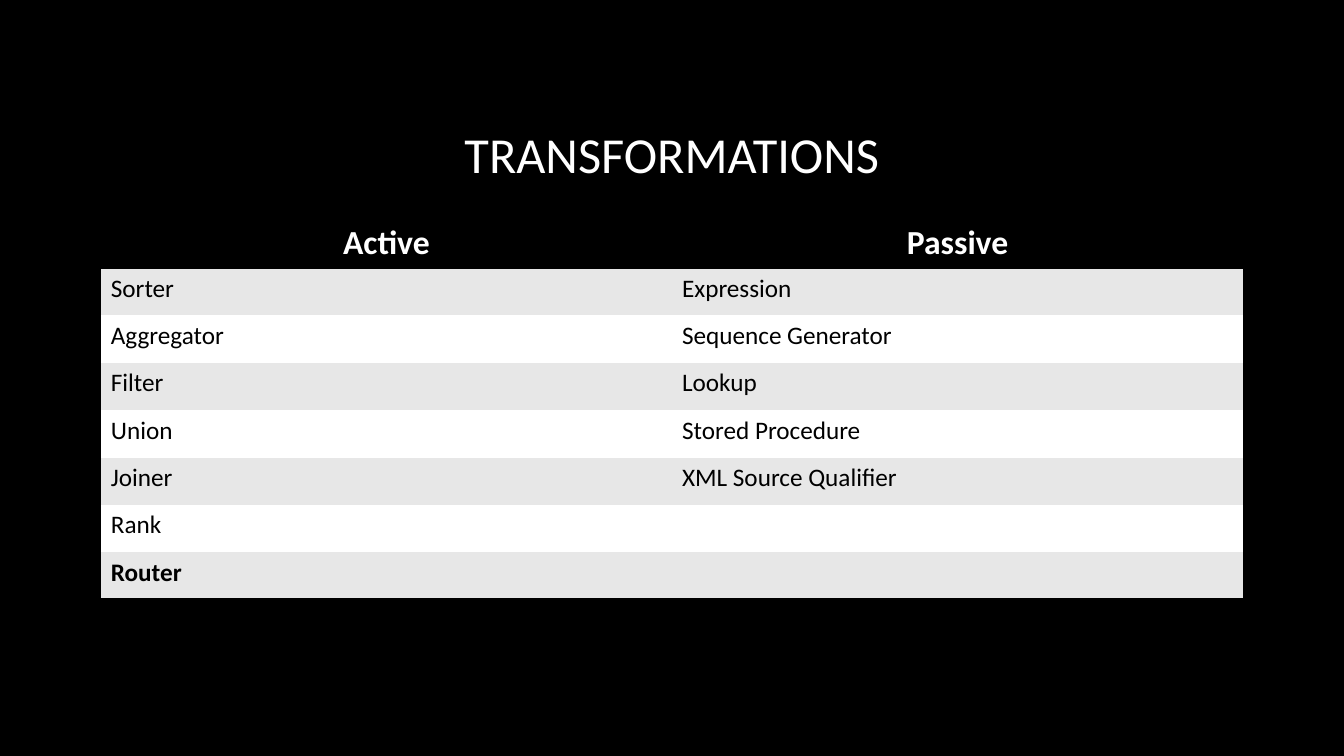
from lxml.etree import SubElement
from pptx import Presentation
from pptx.dml.color import RGBColor
from pptx.enum.text import MSO_ANCHOR, PP_ALIGN
from pptx.oxml.ns import qn
from pptx.util import Inches, Pt

TITLE = "TRANSFORMATIONS"
ROWS = [
    ("Active", "Passive"),
    ("Sorter", "Expression"),
    ("Aggregator", "Sequence Generator"),
    ("Filter", "Lookup"),
    ("Union", "Stored Procedure"),
    ("Joiner", "XML Source Qualifier"),
    ("Rank", ""),
    ("Router", ""),
]
BOLD = {"Active", "Passive", "Router"}
COLORS = {"black": "000000", "white": "FFFFFF", "band": "E7E7E7"}
FONT = "Calibri"
NO_GRID_STYLE = "{2D5ABB26-0587-4C30-8999-92F81FD0307C}"
WIDTH, HEIGHT = 13.33, 7.5
MARGIN = 1
CONTENT_W = WIDTH - 2 * MARGIN
TITLE_TOP, TITLE_H = 0.68, 1.75
TABLE_TOP, ROW_H = 2.16, 0.47


def rgb(name):
    return RGBColor.from_string(COLORS[name])


def add_text(p, text, size, color, bold=False):
    r = p.add_run()
    r.text = text
    r.font.name = FONT
    r.font.size = Pt(size)
    r.font.bold = bold
    r.font.color.rgb = rgb(color)


def add_border(cell, side):
    ln = SubElement(cell._tc.get_or_add_tcPr(), qn(f"a:ln{side}"), w=str(Pt(2)))
    fill = SubElement(ln, qn("a:solidFill"))
    SubElement(fill, qn("a:srgbClr"), val=COLORS["black"])


def add_title(slide):
    box = slide.shapes.add_textbox(
        Inches(MARGIN), Inches(TITLE_TOP), Inches(CONTENT_W), Inches(TITLE_H))
    tf = box.text_frame
    tf.word_wrap = True
    tf.vertical_anchor = MSO_ANCHOR.MIDDLE
    p = tf.paragraphs[0]
    p.alignment = PP_ALIGN.CENTER
    p.line_spacing = 0.9
    add_text(p, TITLE, 36, "white")


def add_transformations(slide):
    last = len(ROWS) - 1
    table = slide.shapes.add_table(
        len(ROWS), len(ROWS[0]), Inches(MARGIN), Inches(TABLE_TOP),
        Inches(CONTENT_W), Inches(ROW_H * len(ROWS))).table
    table._tbl.tblPr.find(qn("a:tableStyleId")).text = NO_GRID_STYLE
    for i, names in enumerate(ROWS):
        table.rows[i].height = Inches(ROW_H)
        header = i == 0
        fill = "black" if header else "band" if i % 2 else "white"
        for j, name in enumerate(names):
            cell = table.cell(i, j)
            for side in {0: "TB", last: "B"}.get(i, ""):
                add_border(cell, side)
            cell.fill.solid()
            cell.fill.fore_color.rgb = rgb(fill)
            p = cell.text_frame.paragraphs[0]
            if header:
                p.alignment = PP_ALIGN.CENTER
            if name:
                add_text(p, name, 24 if header else 18,
                         "white" if header else "black", name in BOLD)


def main():
    prs = Presentation()
    prs.slide_width, prs.slide_height = Inches(WIDTH), Inches(HEIGHT)
    slide = prs.slides.add_slide(prs.slide_layouts[6])
    slide.background.fill.solid()
    slide.background.fill.fore_color.rgb = rgb("black")
    add_title(slide)
    add_transformations(slide)
    prs.save("out.pptx")


if __name__ == "__main__":
    main()
